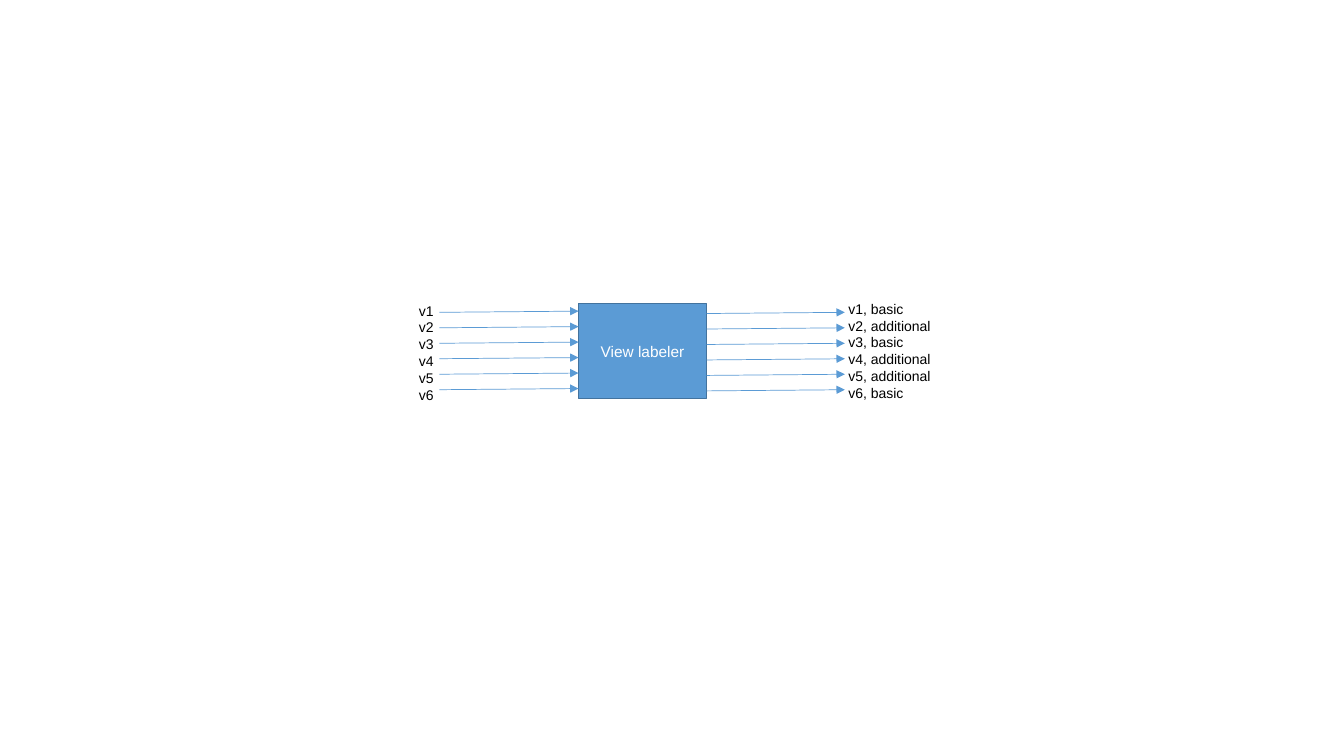
import pptx
import pptx.dml.color
import pptx.enum.shapes
import pptx.enum.text
import pptx.oxml
import pptx.oxml.ns
import pptx.util
from pptx.util import Cm

COLORS = {"box": "5B9BD5", "border": "43739E", "label": "FFFFFF", "view": "000000"}
VIEW_KINDS = ["basic", "additional", "basic", "additional", "additional", "basic"]
ARROW_STEP = 0.39
ARROW_RISE = 0.03


def rgb(name):
    return pptx.dml.color.RGBColor.from_string(COLORS[name])


class Diagram:
    """Holds the text style and the slide being drawn; lengths are in centimetres."""

    font_name = "Arial"

    def __init__(self, slide):
        self.shapes = slide.shapes

    def style(self, paragraph, size, color):
        paragraph.font.name = self.font_name
        paragraph.font.size = pptx.util.Pt(size)
        paragraph.font.color.rgb = rgb(color)

    def box(self, left, top, width, height, label):
        process = self.shapes.add_shape(
            pptx.enum.shapes.MSO_SHAPE.RECTANGLE, Cm(left), Cm(top), Cm(width), Cm(height))
        process.shadow.inherit = False
        process.fill.solid()
        process.fill.fore_color.rgb = rgb("box")
        process.line.color.rgb = rgb("border")
        process.line.width = pptx.util.Pt(1)
        process.text_frame.vertical_anchor = pptx.enum.text.MSO_ANCHOR.MIDDLE
        caption = process.text_frame.paragraphs[0]
        caption.text = label
        caption.alignment = pptx.enum.text.PP_ALIGN.CENTER
        self.style(caption, 11, "label")

    def arrow(self, start_x, start_y, end_x, end_y):
        flow = self.shapes.add_connector(
            pptx.enum.shapes.MSO_CONNECTOR.STRAIGHT,
            Cm(start_x), Cm(start_y), Cm(end_x), Cm(end_y))
        flow.line.color.rgb = rgb("box")
        flow.line.width = pptx.util.Pt(0.5)
        head = pptx.oxml.parse_xml(
            f'<a:tailEnd {pptx.oxml.ns.nsdecls("a")} type="triangle"/>')
        flow.line._get_or_add_ln().append(head)
        no_shadow = pptx.oxml.parse_xml(f'<a:effectLst {pptx.oxml.ns.nsdecls("a")}/>')
        flow._element.spPr.append(no_shadow)

    def arrows(self, start_x, end_x, first_y, count):
        for row in range(count):
            y = first_y + row * ARROW_STEP
            self.arrow(start_x, y, end_x, y - ARROW_RISE)

    def view_list(self, left, top, width, height, views):
        frame = self.shapes.add_textbox(Cm(left), Cm(top), Cm(width), Cm(height)).text_frame
        frame.word_wrap = False
        frame.text = "\n".join(views)
        for paragraph in frame.paragraphs:
            self.style(paragraph, 10, "view")


def main():
    deck = pptx.Presentation()
    deck.slide_width, deck.slide_height = Cm(33.87), Cm(19.05)
    diagram = Diagram(deck.slides.add_slide(deck.slide_layouts[6]))

    views = [f"v{number}" for number in range(1, len(VIEW_KINDS) + 1)]
    labeled_views = [f"{view}, {kind}" for view, kind in zip(views, VIEW_KINDS)]

    diagram.box(14.58, 7.65, 3.23, 2.39, "View labeler")
    diagram.arrows(11.07, 14.58, 7.87, len(views))
    diagram.arrows(17.81, 21.29, 7.9, len(views))
    diagram.view_list(21.13, 7.44, 2.62, 2.79, labeled_views)
    diagram.view_list(10.31, 7.49, 0.89, 2.79, views)

    deck.save("out.pptx")


if __name__ == "__main__":
    main()
